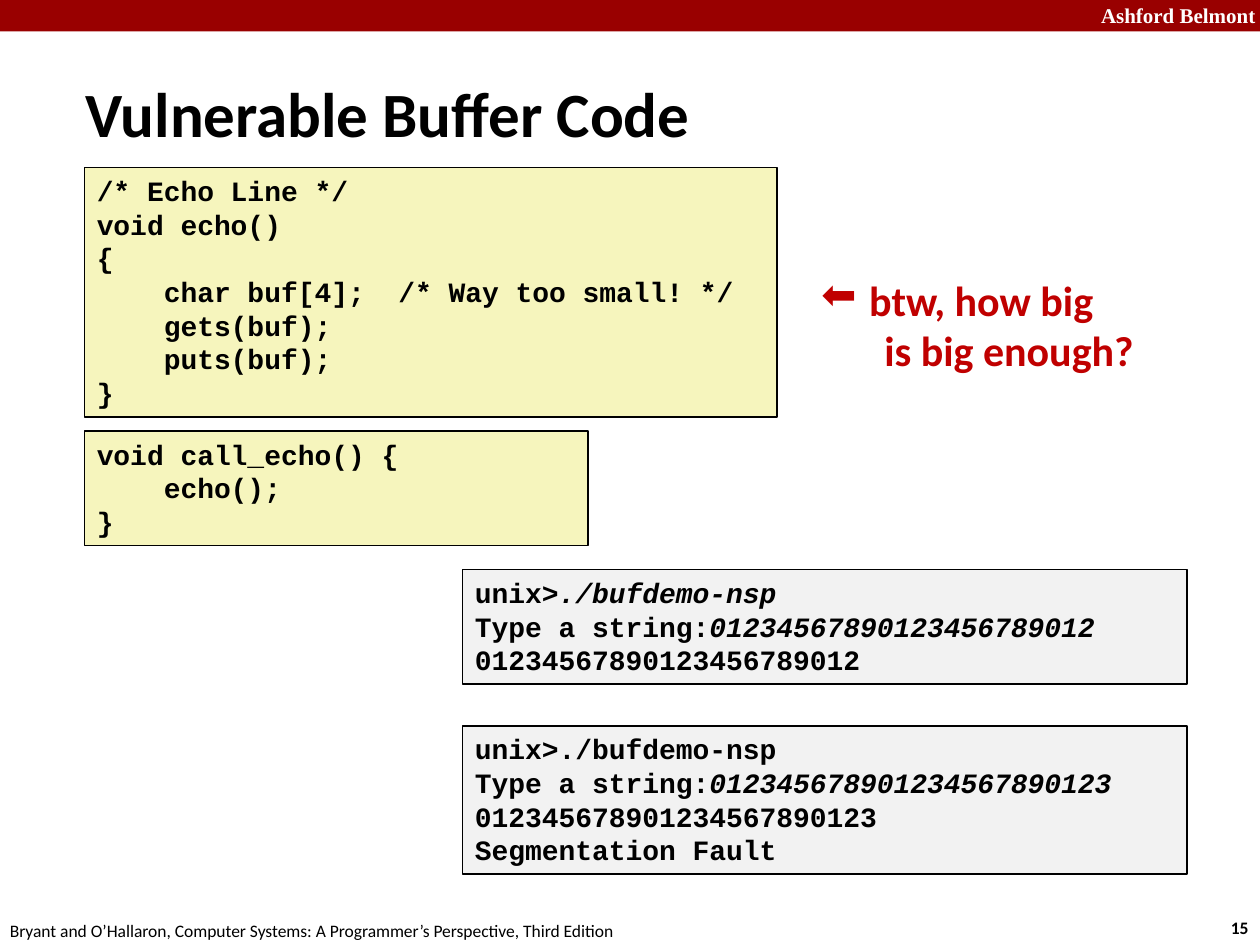
from pptx import Presentation
from pptx.dml.color import RGBColor
from pptx.enum.shapes import MSO_SHAPE as Shape
from pptx.enum.text import MSO_ANCHOR as Anchor, MSO_AUTO_SIZE as AutoSize, PP_ALIGN as Align
from pptx.oxml.ns import qn
from pptx.util import Inches, Pt
from lxml.etree import SubElement

BLACK = RGBColor(0x00, 0x00, 0x00)
WHITE = RGBColor(0xFF, 0xFF, 0xFF)
BANNER_RED = RGBColor(0x99, 0x00, 0x00)
REMARK_RED = RGBColor(0xC0, 0x00, 0x00)
SOURCE_YELLOW = RGBColor(0xF6, 0xF5, 0xBD)
TERMINAL_GREY = RGBColor(0xF2, 0xF2, 0xF2)

CODE = dict(name="Courier New", size=Pt(16), color=BLACK, bold=True)
BANNER = dict(name="Times New Roman", size=Pt(12), color=WHITE, bold=True)
TITLE = dict(name="Calibri", size=Pt(36), color=BLACK, bold=True)
REMARK = dict(name="Calibri", size=Pt(24), color=REMARK_RED, bold=True)
FOOTER = dict(name="Calibri", size=Pt(10), color=BLACK, bold=False)

SOURCE_LEFT = 0.67
TERMINAL_LEFT, TERMINAL_WIDTH = 3.67, 5.75

ECHO = """/* Echo Line */
void echo()
{
    char buf[4];  /* Way too small! */
    gets(buf);
    puts(buf);
}"""
CALL_ECHO = ["void call_echo() {", "    echo();", "}"]

# What the user types is set in italics: (text, italic)
PROMPT = "Type a string:"
SHORT_INPUT = "01234567890123456789012"
LONG_INPUT = SHORT_INPUT + "3"
GOOD_RUN = [[("unix>", False), ("./bufdemo-nsp", True)],
            [(PROMPT, False), (SHORT_INPUT, True)],
            SHORT_INPUT]
FAULT_RUN = ["unix>./bufdemo-nsp",
             [(PROMPT, False), (LONG_INPUT, True)],
             LONG_INPUT,
             "Segmentation Fault"]


def add_run(paragraph, text, style, italic=False):
    run = paragraph.add_run()
    run.text = text
    for key, value in dict(style, italic=italic).items():
        if key == "color":
            run.font.color.rgb = value
        else:
            setattr(run.font, key, value)


def write(frame, paragraphs, style, **options):
    """Fill a frame; a paragraph is a string or a list of (text, italic)."""
    layout = dict(word_wrap=True, auto_size=AutoSize.SHAPE_TO_FIT_TEXT,
                  vertical_anchor=Anchor.TOP)
    for key, value in dict(layout, **options).items():
        setattr(frame, key, value)
    for index, content in enumerate(paragraphs):
        paragraph = frame.paragraphs[0] if index == 0 else frame.add_paragraph()
        paragraph.alignment = Align.LEFT
        parts = [(content, False)] if isinstance(content, str) else content
        for text, italic in parts:
            for number, line in enumerate(text.split("\n")):
                if number:
                    paragraph.add_line_break()
                add_run(paragraph, line, style, italic)


def add_text(slide, box, paragraphs, style, **options):
    frame = slide.shapes.add_textbox(*map(Inches, box)).text_frame
    write(frame, paragraphs, style, **options)
    return frame.paragraphs


def add_panel(slide, box, fill, line=None):
    panel = slide.shapes.add_shape(Shape.RECTANGLE, *map(Inches, box))
    panel.shadow.inherit = False
    panel.fill.solid()
    panel.fill.fore_color.rgb = fill
    if line is None:
        panel.line.fill.background()
    else:
        panel.line.color.rgb = line
        panel.line.width = Pt(1)
    return panel


def add_code(slide, box, fill, paragraphs):
    write(add_panel(slide, box, fill, BLACK).text_frame, paragraphs, CODE)


def hang(paragraph, indent, bullet=None):
    properties = paragraph._p.get_or_add_pPr()
    properties.set("marL", str(Inches(indent)))
    properties.set("indent", str(-Inches(indent)))
    if bullet:
        SubElement(properties, qn("a:buChar")).set("char", bullet)


def main():
    presentation = Presentation()
    presentation.slide_width, presentation.slide_height = Inches(10), Inches(7.5)
    slide = presentation.slides.add_slide(presentation.slide_layouts[6])

    # Banner and footer
    add_panel(slide, (0, 0, 10, 0.25), BANNER_RED)
    add_text(slide, (8.64, -0.03, 1.43, 0.3), ["Ashford Belmont"], BANNER)
    add_text(slide, (9.67, 7.23, 0.37, 0.27), ["15"], dict(FOOTER, bold=True),
             word_wrap=False)
    add_text(slide, (-0.02, 7.25, 5.08, 0.27),
             ["Bryant and O’Hallaron, Computer Systems: "
              "A Programmer’s Perspective, Third Edition"], FOOTER, word_wrap=False)

    # Title
    title = add_text(slide, (0.58, 0.58, 7.01, 0.63), ["Vulnerable Buffer Code"], TITLE,
                     vertical_anchor=Anchor.MIDDLE, auto_size=AutoSize.NONE)
    hang(title[0], 0.13)

    # Source code
    add_code(slide, (SOURCE_LEFT, 3.42, 4, 0.91), SOURCE_YELLOW, CALL_ECHO)
    add_code(slide, (SOURCE_LEFT, 1.33, 5.5, 1.98), SOURCE_YELLOW, [ECHO])

    # Terminal sessions
    for top, height, session in ((4.52, 0.91, GOOD_RUN), (5.76, 1.18, FAULT_RUN)):
        add_code(slide, (TERMINAL_LEFT, top, TERMINAL_WIDTH, height),
                 TERMINAL_GREY, session)

    # Remark on the buffer size
    remark = add_text(slide, (6.42, 2.13, 3.21, 0.91),
                      ["btw, how big", "\tis big enough?"], REMARK, word_wrap=False)
    hang(remark[0], 0.38, "⬅")

    presentation.save("out.pptx")


if __name__ == "__main__":
    main()
